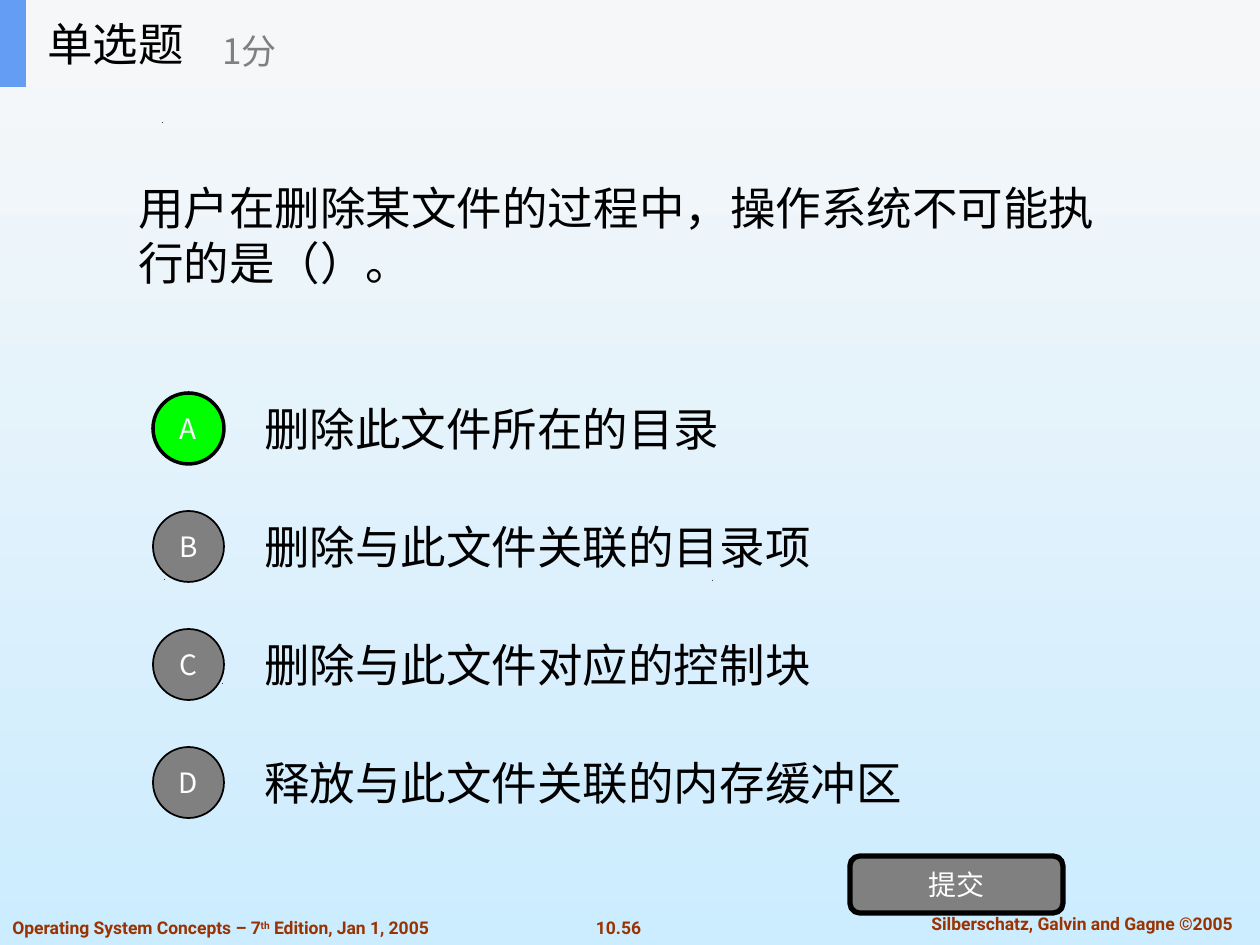
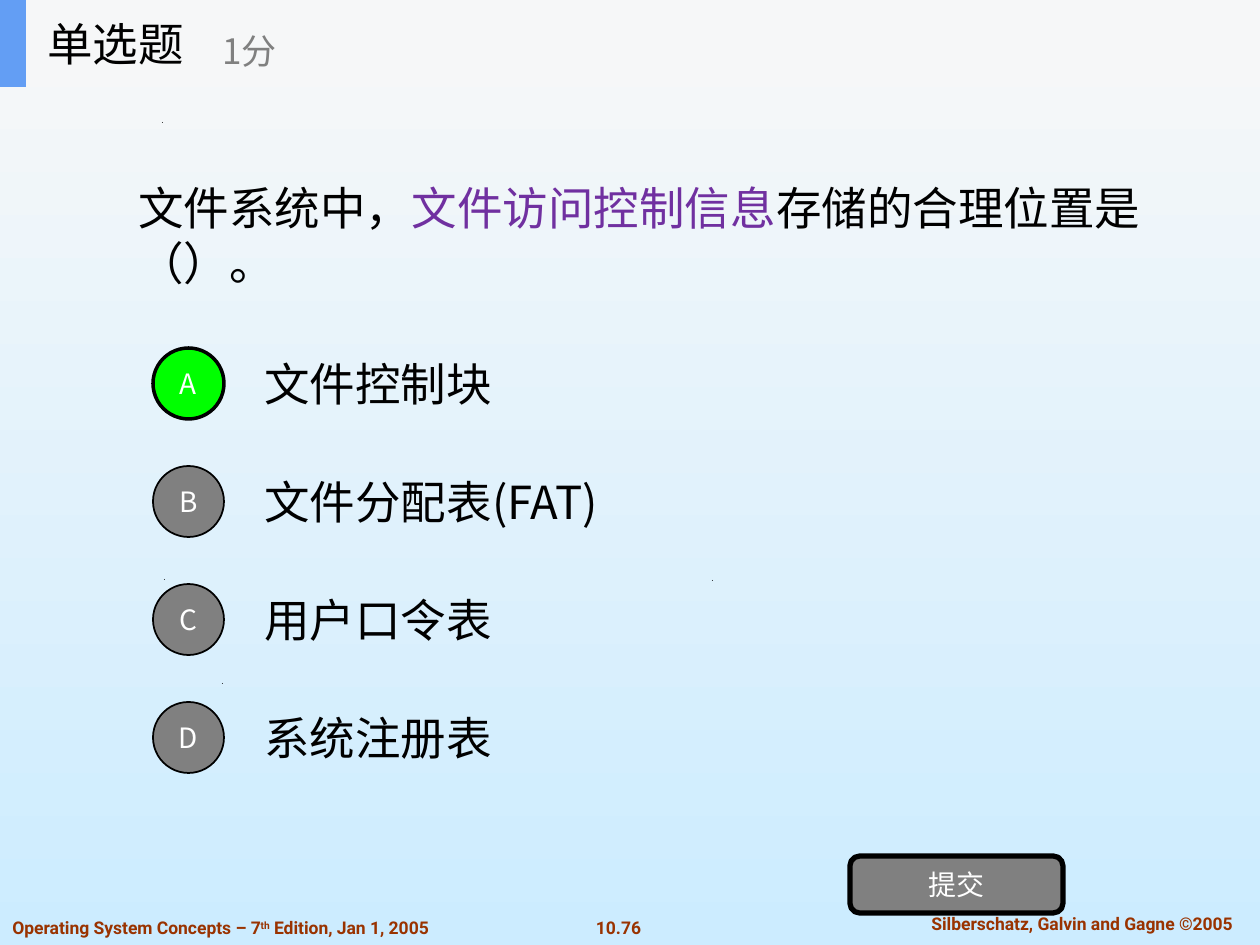
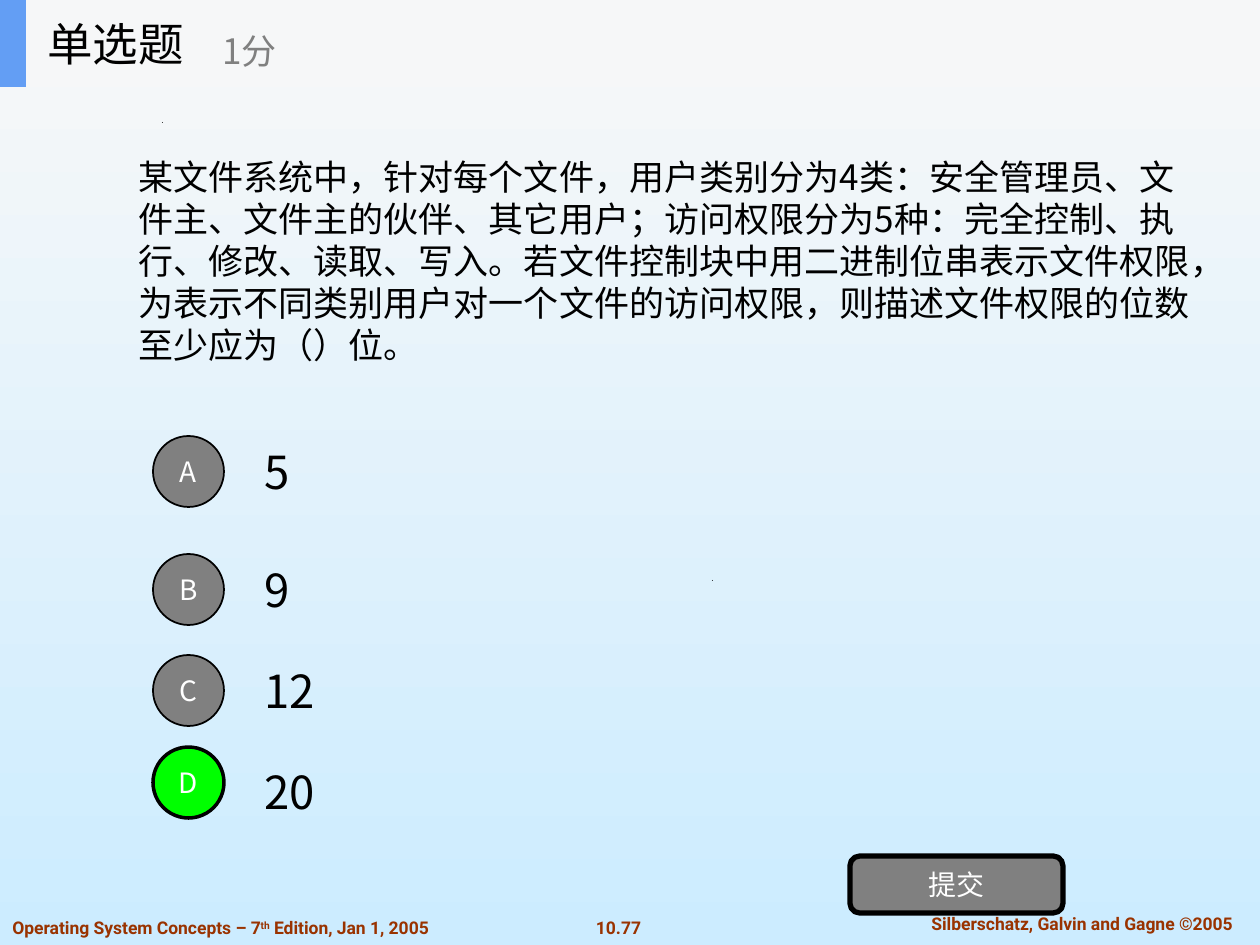
import pptx
import pptx.util
import pptx.dml.color
import pptx.enum.shapes
import pptx.enum.text
import pptx.oxml.ns
from lxml import etree

RGB = pptx.dml.color.RGBColor
SHAPE = pptx.enum.shapes.MSO_SHAPE
ANCHOR = pptx.enum.text.MSO_ANCHOR
ALIGN = pptx.enum.text.PP_ALIGN

BLACK = RGB(0x00, 0x00, 0x00)
WHITE = RGB(0xFF, 0xFF, 0xFF)
GRAY = RGB(0x80, 0x80, 0x80)
GREEN = RGB(0x00, 0xFF, 0x00)
PURPLE = RGB(0x70, 0x30, 0xA0)
RUST = RGB(0x99, 0x33, 0x00)
BAND = RGB(0xF6, 0xF7, 0xF8)
BLUE = RGB(0x63, 0x9E, 0xF4)
SKY_TOP = RGB(0xF8, 0xF8, 0xF8)
SKY_BOTTOM = RGB(0xCC, 0xEC, 0xFF)

CJK = "Noto Sans CJK SC"
LATIN = "Roboto"

EMU_PER_PX = 914400 / 126
WIDTH, HEIGHT = 1260, 945
HEADER_H = 87
MARKER = 71
MARKER_DROP = 9
OPTION_PITCH = 118
SPECKS = [(222, 684), (164, 580), (712, 581), (162, 123)]

QUESTIONS = [
    {
        "number": "10.56",
        "box": (126, 87, 1008, 295),
        "size": 26,
        "runs": [("用户在删除某文件的过程中，操作系统不可能执行的是（）。", BLACK)],
        "options": ["删除此文件所在的目录", "删除与此文件关联的目录项",
                    "删除与此文件对应的控制块", "释放与此文件关联的内存缓冲区"],
        "tops": [384 + i * OPTION_PITCH for i in range(4)],
        "answer": "A",
    },
    {
        "number": "10.76",
        "box": (126, 87, 1028, 295),
        "size": 26,
        "runs": [("文件系统中，", BLACK), ("文件访问控制信息", PURPLE),
                 ("存储的合理位置是（）。", BLACK)],
        "options": ["文件控制块", "文件分配表(FAT)", "用户口令表", "系统注册表"],
        "tops": [339 + i * OPTION_PITCH for i in range(4)],
        "answer": "A",
    },
    {
        "number": "10.77",
        "box": (126, 113, 1085, 295),
        "size": 20,
        "runs": [("某文件系统中，针对每个文件，用户类别分为4类：安全管理员、文件主、"
                  "文件主的伙伴、其它用户；访问权限分为5种：完全控制、执行、修改、"
                  "读取、写入。若文件控制块中用二进制位串表示文件权限，为表示不同类别"
                  "用户对一个文件的访问权限，则描述文件权限的位数至少应为（）位。", BLACK)],
        "options": ["5", "9", "12", "20"],
        "tops": [427, 545, 646, 747],
        "marker_tops": [436, 554, 655, 747],
        "answer": "D",
    },
]


def px(n):
    return pptx.util.Emu(round(n * EMU_PER_PX))


def add_run(p, text, size, color, font=CJK, bold=False, baseline=0):
    r = p.add_run()
    r.text = text
    r.font.size = pptx.util.Pt(size)
    r.font.name = font
    r.font.bold = bold
    r.font.color.rgb = color
    props = r.font._element
    ea = etree.SubElement(props, pptx.oxml.ns.qn("a:ea"))
    ea.set("typeface", font)
    if baseline:
        props.set("baseline", str(baseline * 1000))


def add_text(shapes, box, runs, size, anchor=ANCHOR.MIDDLE, align=ALIGN.LEFT, wrap=True):
    """Add a text box of (text, colour) runs."""
    tf = shapes.add_textbox(*map(px, box)).text_frame
    tf.word_wrap = wrap
    tf.vertical_anchor = anchor
    p = tf.paragraphs[0]
    p.alignment = align
    for text, color in runs:
        add_run(p, text, size, color)
    return tf


def add_filled(shapes, kind, box, fill, line_pt=0, label=""):
    sp = shapes.add_shape(kind, *map(px, box))
    sp.shadow.inherit = False
    sp.fill.solid()
    sp.fill.fore_color.rgb = fill
    if line_pt:
        sp.line.color.rgb = BLACK
        sp.line.width = pptx.util.Pt(line_pt)
    else:
        sp.line.fill.background()
    if label:
        tf = sp.text_frame
        tf.word_wrap = False
        tf.vertical_anchor = ANCHOR.MIDDLE
        p = tf.paragraphs[0]
        p.alignment = ALIGN.CENTER
        add_run(p, label, 16, WHITE)
    return sp


def add_speck(s, x, y):
    builder = s.shapes.build_freeform(x, y, scale=EMU_PER_PX)
    builder.add_line_segments([(x + 1, y - 1), (x + 1, y)], close=True)
    sp = builder.convert_to_shape()
    sp.shadow.inherit = False
    sp.fill.solid()
    sp.fill.fore_color.rgb = BLACK
    sp.line.fill.background()


def add_footer_part(s, box, parts, align=ALIGN.CENTER, wrap=False):
    """Add footer text of (text, baseline percent) parts."""
    tf = add_text(s.shapes, box, [], 10, ANCHOR.TOP, align, wrap)
    for text, baseline in parts:
        add_run(tf.paragraphs[0], text, 10, RUST, LATIN, True, baseline)


def add_footer(s, number):
    add_footer_part(s, (583, 911, 71, 34), [(number, 0)])
    add_footer_part(s, (895, 907, 374, 34),
                    [("Silberschatz, Galvin and Gagne ©2005", 0)], wrap=True)
    add_footer_part(s, (0, 911, 465, 34),
                    [("Operating System Concepts – 7", 0), ("th", 30),
                     (" Edition, Jan 1, 2005", 0)], ALIGN.LEFT, wrap=True)


def add_header(s):
    shapes = s.shapes.add_group_shape().shapes
    add_filled(shapes, SHAPE.RECTANGLE, (0, 0, WIDTH, HEADER_H), BAND)
    add_filled(shapes, SHAPE.RECTANGLE, (0, 0, 26, HEADER_H), BLUE)
    add_text(shapes, (35, 0, 262, HEADER_H), [("单选题", BLACK)], 26)
    add_text(shapes, (210, 15, 315, 71), [("1分", GRAY)], 20)


def add_options(s, question):
    tops = question["tops"]
    marker_tops = question.get("marker_tops", [top + MARKER_DROP for top in tops])
    for text, top in zip(question["options"], tops):
        add_text(s.shapes, (252, top, 882, 88), [(text, BLACK)], 26)
    for letter, top in zip("ABCD", marker_tops):
        correct = letter == question["answer"]
        add_filled(s.shapes, SHAPE.OVAL, (153, top, MARKER, MARKER),
                   GREEN if correct else GRAY, 2 if correct else 1, letter)


def add_submit_button(s):
    sp = add_filled(s.shapes, SHAPE.ROUNDED_RECTANGLE, (850, 856, 213, 57), GRAY, 3, "提交")
    sp.adjustments[0] = 0.17


def add_question_slide(prs, question):
    s = prs.slides.add_slide(prs.slide_layouts[6])
    for x, y in SPECKS:
        add_speck(s, x, y)
    add_footer(s, question["number"])
    add_text(s.shapes, question["box"], question["runs"], question["size"])
    add_options(s, question)
    add_submit_button(s)
    add_header(s)


def set_background(prs):
    fill = prs.slide_master.background.fill
    fill.gradient()
    fill.gradient_angle = 270
    for stop, color in zip(fill.gradient_stops, (SKY_TOP, SKY_BOTTOM)):
        stop.color.rgb = color


def main():
    prs = pptx.Presentation()
    prs.slide_width, prs.slide_height = px(WIDTH), px(HEIGHT)
    set_background(prs)
    for question in QUESTIONS:
        add_question_slide(prs, question)
    prs.save("out.pptx")


if __name__ == "__main__":
    main()
